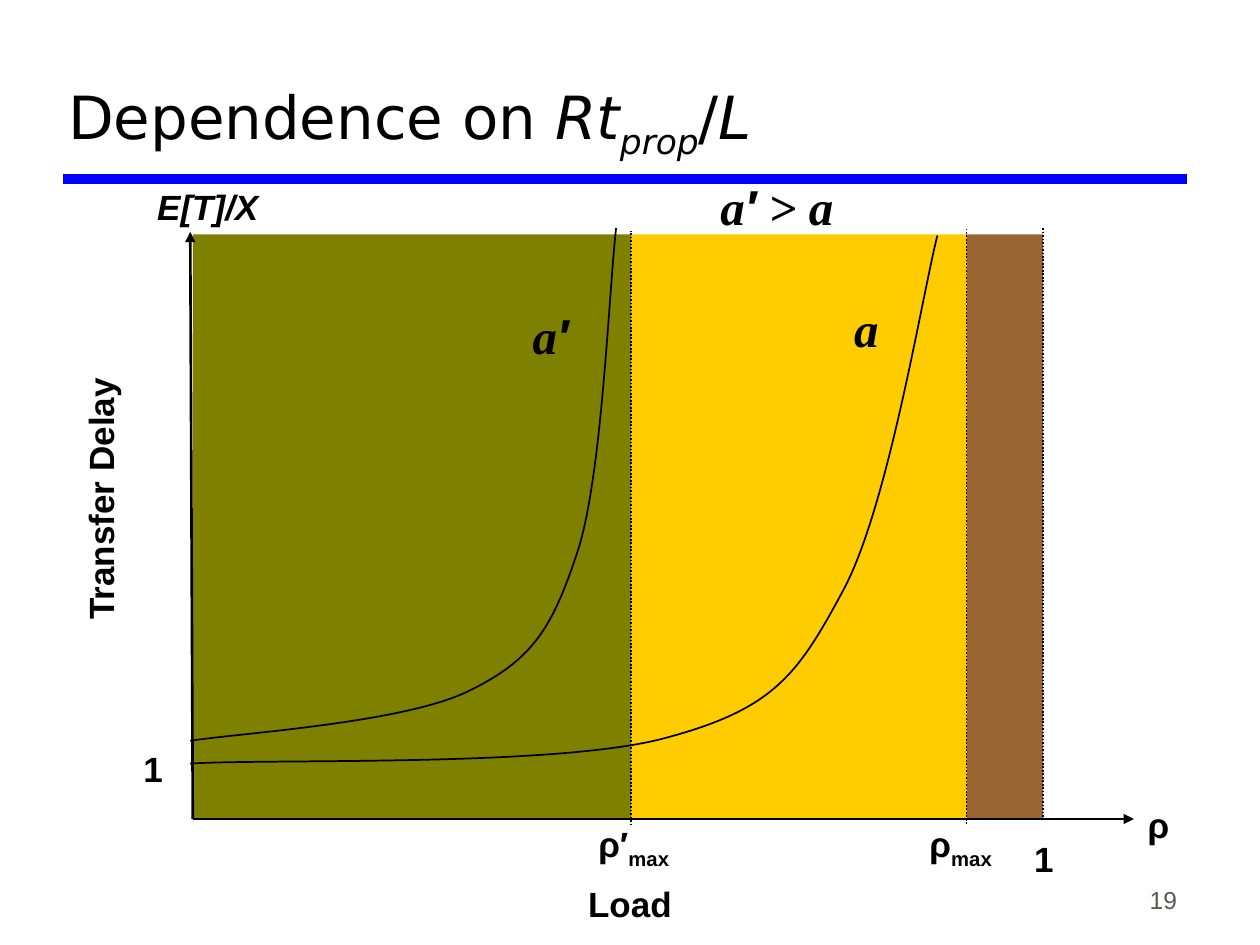
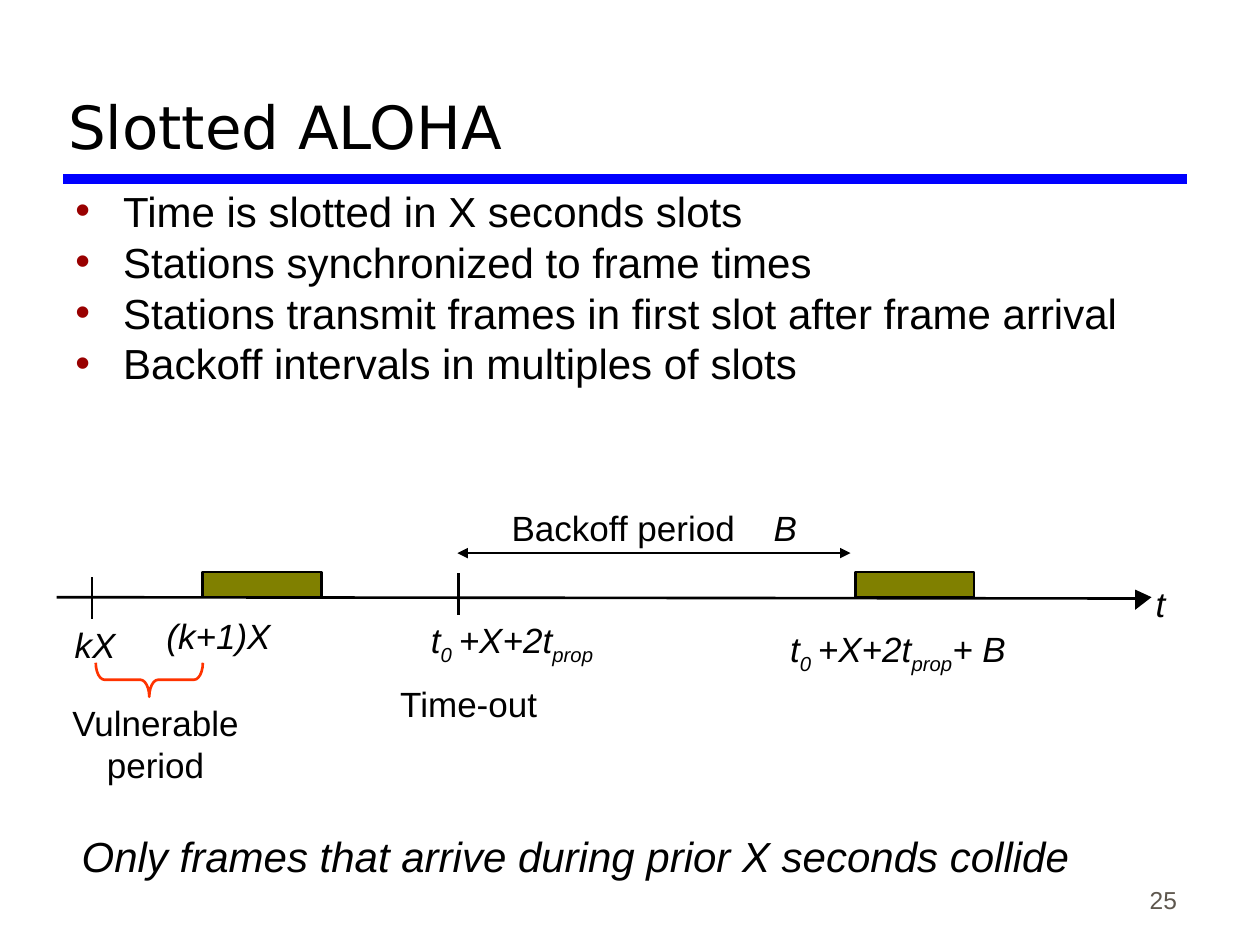
from pptx import Presentation
from pptx.dml.color import RGBColor
from pptx.enum.dml import MSO_LINE
from pptx.enum.shapes import MSO_CONNECTOR, MSO_SHAPE
from pptx.enum.text import MSO_ANCHOR, MSO_AUTO_SIZE, PP_ALIGN
from pptx.oxml.ns import qn
from pptx.util import Pt
from lxml.etree import SubElement

PX = 9144  # 100 px to the inch

THEME = {
    "black": RGBColor(0, 0, 0),
    "band": RGBColor(0x00, 0x00, 0xFF),
    "number": RGBColor(0x5E, 0x57, 0x4E),
    "olive": RGBColor(0x80, 0x80, 0x00),
    "gold": RGBColor(0xFF, 0xCC, 0x00),
    "brown": RGBColor(0x99, 0x66, 0x33),
    "brace": RGBColor(0xFF, 0x33, 0x00),
    "bullet": "990000",
    "title": {"name": "DejaVu Sans", "size": Pt(34)},
    "page": {"name": "Arial", "size": Pt(14)},
    "axis": {"name": "Arial", "size": Pt(20), "bold": True},
    "curve": {"name": "Times New Roman", "size": Pt(28), "bold": True, "italic": True},
    "time": {"name": "Arial", "size": Pt(20)},
    "body": {"name": "Arial", "size": Pt(24)},
}
ITALIC = {"italic": True}
SUB = {"baseline": "-25000"}
ITALIC_SUB = ITALIC | SUB
ARIAL = {"name": "Arial"}

# Frame settings of each kind of text: alignment, anchor, insets, wrapping
FRAMES = {
    "page": (PP_ALIGN.RIGHT, MSO_ANCHOR.BOTTOM, (10, 5), True),
    "axis": (PP_ALIGN.CENTER, MSO_ANCHOR.MIDDLE, (10, 5), False),
    "curve": (PP_ALIGN.CENTER, MSO_ANCHOR.MIDDLE, (10, 5), False),
    "time": (PP_ALIGN.CENTER, MSO_ANCHOR.TOP, (0, 0), False),
    "time left": (PP_ALIGN.LEFT, MSO_ANCHOR.TOP, (0, 0), True),
    "body": (PP_ALIGN.LEFT, MSO_ANCHOR.TOP, (10, 5), True),
    "bullets": (PP_ALIGN.LEFT, MSO_ANCHOR.TOP, (10, 5), True),
}


def write_runs(paragraph, runs, style, color=THEME["black"]):
    """Add (text, format changes) runs; a lone newline is a line break."""
    for text, changes in runs:
        if text == "\n":
            paragraph.add_line_break()
            continue
        run = paragraph.add_run()
        run.text = text
        run.font.color.rgb = color
        for attribute, value in (style | changes).items():
            if attribute == "baseline":
                run._r.get_or_add_rPr().set("baseline", value)
            else:
                setattr(run.font, attribute, value)


def bend_segments(outline, segments, left, top):
    """Turn each straight segment of a freeform into a cubic Bézier curve."""
    for line_to, corners in zip(list(outline.element.iter(qn("a:lnTo"))), segments):
        curve_to = SubElement(line_to.getparent(), qn("a:cubicBezTo"))
        for x, y in corners:
            SubElement(curve_to, qn("a:pt"), x=str(x - left), y=str(y - top))
        line_to.getparent().replace(line_to, curve_to)


TIMEOUT = [("t", ITALIC), ("0", ITALIC_SUB), (" ", ITALIC | {"size": Pt(14)}),
           ("+X+2t", ITALIC), ("prop", ITALIC_SUB)]
TITLE_BAND = (50, 142, 942, 142, 6, False, [])
PLOT_TOP, PLOT_BOTTOM = 186, 650
ORIGIN, RHO_PRIME, RHO_MAX, FULL_LOAD = 153, 501, 767, 828

# rectangles: left, top, right, bottom, fill, outlined
# lines: start x, start y, end x, end y, width, dotted, arrow ends
# curves: start, Bézier segments
# texts: left, top, width, height, rotation, frame, paragraphs of runs
SLIDES = [
    {
        "number": "19",
        "title": [("Dependence on ", {}), ("Rt", ITALIC), ("prop", ITALIC_SUB),
                  ("/", {}), ("L", ITALIC)],
        "rectangles": [
            (left, PLOT_TOP, right, PLOT_BOTTOM, fill, False)
            for left, right, fill in [(RHO_MAX, FULL_LOAD, "brown"),
                                      (RHO_PRIME, RHO_MAX, "gold"),
                                      (ORIGIN, RHO_PRIME, "olive")]
        ],
        "lines": [
            (ORIGIN, PLOT_BOTTOM, 900, PLOT_BOTTOM, 1.5, False, ["tailEnd"]),
            (ORIGIN, PLOT_BOTTOM, 151, 184, 1.5, False, ["tailEnd"]),
            (FULL_LOAD, 651, FULL_LOAD, 180, 1, True, []),
            (RHO_MAX, 654, RHO_MAX, 182, 1, True, []),
            (RHO_PRIME, 655, RHO_PRIME, 183, 1, True, []),
        ],
        "curves": [
            ((151, 606), [((214, 602), (441, 609), (527, 586)),
                          ((614, 563), (633, 536), (669, 469)),
                          ((705, 403), (732, 234), (744, 187))]),
            ((151, 588), [((188, 582), (322, 574), (373, 548)),
                          ((424, 523), (439, 497), (459, 436)),
                          ((478, 375), (483, 235), (489, 181))]),
        ],
        "arrowheads": [],
        "braces": [],
        "texts": [
            (-27, 374, 213, 44, 270, "axis", [[("Transfer Delay", {})]]),
            (450, 695, 100, 44, 0, "axis", [[("Load", {})]]),
            (105, 142, 120, 44, 0, "axis", [[("E[T]/X", ITALIC)]]),
            (901, 632, 35, 44, 0, "axis", [[("ρ", {})]]),
            (716, 648, 93, 48, 0, "axis", [[("ρ", {}), ("max", SUB)]]),
            (811, 659, 35, 44, 0, "axis", [[("1", {})]]),
            (104, 588, 35, 44, 0, "axis", [[("1", {})]]),
            (450, 648, 106, 48, 0, "axis", [[("ρ′", {}), ("max", SUB)]]),
            (668, 232, 39, 57, 0, "curve", [[("a", {})]]),
            (411, 237, 52, 57, 0, "curve", [[("a", {}), ("′", ARIAL)]]),
            (560, 135, 113, 57, 0, "curve", [[("a", {}), ("′", ARIAL), (" > a", {})]]),
        ],
    },
    {
        "number": "25",
        "title": [("Slotted ALOHA", {})],
        "rectangles": [(left, 454, left + 94, 474, "olive", True) for left in (161, 679)],
        "lines": [
            (45, 474, 906, 475, 1.5, False, []),
            (73, 458, 73, 491, 1.5, False, []),
            (364, 455, 364, 488, 1.5, False, []),
            (363, 439, 675, 439, 1, False, ["headEnd", "tailEnd"]),
        ],
        "curves": [],
        "arrowheads": [[(901, 484), (914, 474), (901, 468)]],
        "braces": [(105, 497, 27, 85)],
        "texts": [
            (50, 150, 894, 227, 0, "bullets", [
                [(line, {})] for line in (
                    "Time is slotted in X seconds slots",
                    "Stations synchronized to frame times",
                    "Stations transmit frames in first slot after frame arrival",
                    "Backoff intervals in multiples of slots")]),
            (917, 462, 8, 33, 0, "time", [[("t", ITALIC)]]),
            (132, 488, 83, 33, 0, "time", [[("(k+1)X", ITALIC)]]),
            (59, 495, 33, 33, 0, "time", [[("kX", ITALIC)]]),
            (627, 498, 231, 38, 0, "time left", [TIMEOUT + [("+ B", ITALIC)]]),
            (57, 557, 133, 67, 0, "time",
             [[("Vulnerable", {}), ("\n", {}), ("period", {})]]),
            (317, 542, 110, 33, 0, "time", [[("Time-out", {})]]),
            (406, 402, 242, 33, 0, "time left", [[("Backoff period\t", {}), ("B", ITALIC)]]),
            (342, 491, 231, 38, 0, "time left", [TIMEOUT]),
            (55, 662, 900, 56, 0, "body",
             [[("Only frames that arrive during prior X seconds collide", ITALIC)]]),
        ],
    },
]

presentation = Presentation()
presentation.slide_width, presentation.slide_height = 1000 * PX, 750 * PX
title_only = presentation.slide_layouts[5]

for slide_index, content in enumerate(SLIDES):
    slide = presentation.slides.add_slide(title_only)
    shapes = slide.shapes

    title = shapes.title
    title.left, title.top, title.width, title.height = [v * PX for v in (44, 17, 897, 116)]
    title.text_frame.auto_size = MSO_AUTO_SIZE.NONE
    title.text_frame.vertical_anchor = MSO_ANCHOR.BOTTOM
    title.text_frame.paragraphs[0].alignment = PP_ALIGN.LEFT
    write_runs(title.text_frame.paragraphs[0], content["title"], THEME["title"])

    for left, top, right, bottom, fill, outlined in content["rectangles"]:
        rectangle = shapes.add_shape(MSO_SHAPE.RECTANGLE, left * PX, top * PX,
                                     (right - left) * PX, (bottom - top) * PX)
        rectangle.shadow.inherit = False
        rectangle.fill.solid()
        rectangle.fill.fore_color.rgb = THEME[fill]
        if outlined:
            rectangle.line.color.rgb = THEME["black"]
            rectangle.line.width = Pt(1.5)
        else:
            rectangle.line.fill.background()

    shared_lines = [TITLE_BAND] if slide_index == 0 else []
    for line in shared_lines + content["lines"]:
        *ends, width, dotted, arrow_ends = line
        connector = shapes.add_connector(MSO_CONNECTOR.STRAIGHT, *[v * PX for v in ends])
        connector.line.color.rgb = THEME["band" if line is TITLE_BAND else "black"]
        connector.line.width = Pt(width)
        if dotted:
            connector.line.dash_style = MSO_LINE.ROUND_DOT
        properties = connector.element.spPr
        for arrow_end in arrow_ends:
            SubElement(properties.find(qn("a:ln")), qn(f"a:{arrow_end}"), type="triangle")
        SubElement(properties, qn("a:effectLst"))
        if line is TITLE_BAND:  # move it to the layout, so every slide shows it
            title_only.shapes.element.append(connector.element)

    for start, segments in content["curves"]:
        ends = [segment[-1] for segment in segments]
        builder = shapes.build_freeform(*start, scale=PX)
        builder.add_line_segments(ends, close=False)
        curve = builder.convert_to_shape()
        bend_segments(curve, segments, start[0], ends[-1][1])
        curve.shadow.inherit = False
        curve.fill.background()
        curve.line.color.rgb = THEME["black"]
        curve.line.width = Pt(1)

    for first, *others in content["arrowheads"]:
        builder = shapes.build_freeform(*first, scale=PX)
        builder.add_line_segments(others)
        arrowhead = builder.convert_to_shape()
        arrowhead.shadow.inherit = False
        arrowhead.fill.solid()
        arrowhead.fill.fore_color.rgb = THEME["black"]
        arrowhead.line.fill.background()

    for box in content["braces"]:
        brace = shapes.add_shape(MSO_SHAPE.LEFT_BRACE, *[v * PX for v in box])
        brace.rotation = 270
        brace.adjustments[0] = 0.26
        brace.shadow.inherit = False
        brace.fill.background()
        brace.line.color.rgb = THEME["brace"]
        brace.line.width = Pt(1.5)

    page_number = (736, 681, 208, 50, 0, "page", [[(content["number"], {})]])
    for *box, rotation, kind, paragraphs in [page_number] + content["texts"]:
        alignment, anchor, (side, end), wrap = FRAMES[kind]
        text_box = shapes.add_textbox(*[v * PX for v in box])
        text_box.rotation = rotation
        frame = text_box.text_frame
        settings = {"word_wrap": wrap, "vertical_anchor": anchor,
                    "margin_left": side * PX, "margin_right": side * PX,
                    "margin_top": end * PX, "margin_bottom": end * PX}
        for attribute, value in settings.items():
            setattr(frame, attribute, value)
        style = THEME["body" if kind == "bullets" else kind.split()[0]]
        color = THEME["number" if kind == "page" else "black"]
        for index, runs in enumerate(paragraphs):
            paragraph = frame.paragraphs[0] if index == 0 else frame.add_paragraph()
            paragraph.alignment = alignment
            if kind in ("body", "bullets"):
                paragraph.line_spacing = 0.8
            if index:
                paragraph.space_before = Pt(6)
            paragraph_properties = paragraph._p.get_or_add_pPr()
            if kind == "bullets":
                paragraph_properties.set("marL", str(38 * PX))
                paragraph_properties.set("indent", str(-38 * PX))
                bullet_color = SubElement(paragraph_properties, qn("a:buClr"))
                SubElement(bullet_color, qn("a:srgbClr"), val=THEME["bullet"])
                SubElement(paragraph_properties, qn("a:buFont"), typeface=style["name"])
                SubElement(paragraph_properties, qn("a:buChar"), char="•")
            if any("\t" in text for text, _ in runs):
                tab_list = SubElement(paragraph_properties, qn("a:tabLst"))
                SubElement(tab_list, qn("a:tab"), pos=str(208 * PX), algn="l")
            write_runs(paragraph, runs, style, color)

presentation.save("out.pptx")
